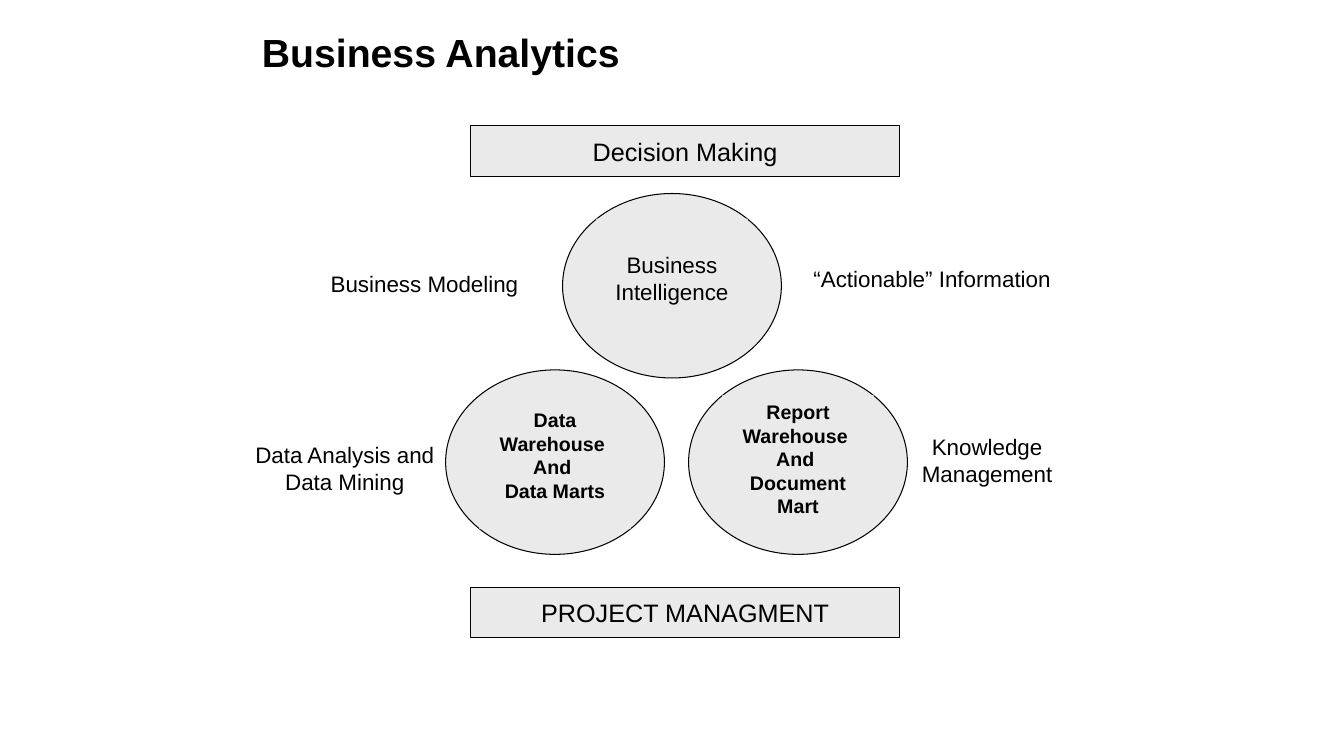
from dataclasses import dataclass

from pptx import Presentation
from pptx.dml.color import RGBColor
from pptx.enum.shapes import MSO_SHAPE
from pptx.enum.text import MSO_ANCHOR, PP_ALIGN
from pptx.shapes.autoshape import Shape
from pptx.slide import Slide
from pptx.util import Inches, Pt

OVAL, RECTANGLE = MSO_SHAPE.OVAL, MSO_SHAPE.RECTANGLE
TOP, MIDDLE = MSO_ANCHOR.TOP, MSO_ANCHOR.MIDDLE
LEFT, CENTER = PP_ALIGN.LEFT, PP_ALIGN.CENTER
FONT = "Arial"
COLORS = {"ink": "000000", "panel": "EAEAEA"}
BAR_LEFT, BAR_WIDTH, BAR_HEIGHT = 4.67, 4.25, 0.5
CIRCLE_WIDTH, CIRCLE_HEIGHT = 2.17, 1.83
CORE_WIDTH, CORE_HEIGHT, CORE_INDENT = 1.5, 1.25, 0.335


@dataclass(frozen=True)
class Label:
    """A caption beside the circles."""
    text: str
    left: float
    top: float
    width: float
    height: float


@dataclass(frozen=True)
class Circle:
    """A circle with a text panel; each paragraph is a tuple of lines."""
    paragraphs: tuple[tuple[str, ...], ...]
    left: float
    top: float
    core_drop: float
    size: int = 14
    bold: bool = True
    inset_top: float = 0.05


@dataclass(frozen=True)
class Bar:
    """A wide bar above or below the circles."""
    text: str
    top: float


LABELS = (
    Label("Data Analysis and Data Mining", 2.17, 4.33, 2.5, 0.64),
    Label("Business Modeling", 3, 2.63, 2.42, 0.37),
    Label("Knowledge Management", 8.58, 4.25, 2.42, 0.64),
    Label("“Actionable” Information", 7.83, 2.58, 2.83, 0.37),
)
CIRCLES = (
    Circle((("Report Warehouse ",), ("And ",), ("Document Mart",)), 6.83, 3.67, 0.25),
    Circle((("Data Warehouse ",), ("And ",), ("Data Marts",)), 4.42, 3.67, 0.33),
    Circle((("Business", "Intelligence"),), 5.58, 1.92, 0.25, 16, False, 0.32),
)
BARS = (Bar("PROJECT MANAGMENT", 5.83), Bar("Decision Making", 1.25))


def color(name: str) -> RGBColor:
    """Look up a named colour."""
    return RGBColor.from_string(COLORS[name])


def write(shape: Shape, paragraphs: tuple[tuple[str, ...], ...], size: int,
          bold: bool = False, align: PP_ALIGN = CENTER,
          anchor: MSO_ANCHOR = TOP, wrap: bool = True,
          spacing: float = 1.0) -> None:
    """Fill a shape with styled text, run by run."""
    frame = shape.text_frame
    frame.word_wrap = wrap
    frame.vertical_anchor = anchor
    for index, lines in enumerate(paragraphs):
        paragraph = frame.add_paragraph() if index else frame.paragraphs[0]
        paragraph.alignment = align
        paragraph.line_spacing = spacing
        for number, line in enumerate(lines):
            if number:
                paragraph.add_line_break()
            run = paragraph.add_run()
            run.text = line
            run.font.name = FONT
            run.font.size = Pt(size)
            run.font.bold = bold
            run.font.color.rgb = color("ink")


def add_panel(slide: Slide, kind: MSO_SHAPE, left: float, top: float,
              width: float, height: float, outlined: bool = True) -> Shape:
    """Add a grey shape, with or without a thin outline."""
    panel = slide.shapes.add_shape(
        kind, Inches(left), Inches(top), Inches(width), Inches(height))
    panel.shadow.inherit = False
    panel.fill.solid()
    panel.fill.fore_color.rgb = color("panel")
    if outlined:
        panel.line.color.rgb = color("ink")
        panel.line.width = Pt(0.75)
    else:
        panel.line.fill.background()
    return panel


def add_label(slide: Slide, label: Label) -> None:
    """Add a centred caption."""
    caption = slide.shapes.add_textbox(
        Inches(label.left), Inches(label.top), Inches(label.width), Inches(label.height))
    write(caption, ((label.text,),), 16)


def add_circle(slide: Slide, circle: Circle) -> None:
    """Add a circle and the text panel inside it."""
    add_panel(slide, OVAL, circle.left, circle.top, CIRCLE_WIDTH, CIRCLE_HEIGHT)
    core = add_panel(slide, RECTANGLE, circle.left + CORE_INDENT,
                     circle.top + circle.core_drop, CORE_WIDTH, CORE_HEIGHT, False)
    core.text_frame.margin_top = Inches(circle.inset_top)
    write(core, circle.paragraphs, circle.size, circle.bold)


def add_bar(slide: Slide, bar: Bar) -> None:
    """Add an outlined bar with its heading."""
    panel = add_panel(slide, RECTANGLE, BAR_LEFT, bar.top, BAR_WIDTH, BAR_HEIGHT)
    write(panel, ((bar.text,),), 18, anchor=MIDDLE, wrap=False)


def main() -> None:
    """Build and save the slide."""
    deck = Presentation()
    deck.slide_width, deck.slide_height = Inches(13.33), Inches(7.5)
    slide = deck.slides.add_slide(deck.slide_layouts[6])
    title = slide.shapes.add_textbox(Inches(2.5), Inches(0), Inches(8.5), Inches(1.08))
    write(title, (("Business Analytics",),), 28, bold=True, align=LEFT,
          anchor=MIDDLE, spacing=0.9)
    for label in LABELS:
        add_label(slide, label)
    for circle in CIRCLES:
        add_circle(slide, circle)
    for bar in BARS:
        add_bar(slide, bar)
    deck.save("out.pptx")


main()
